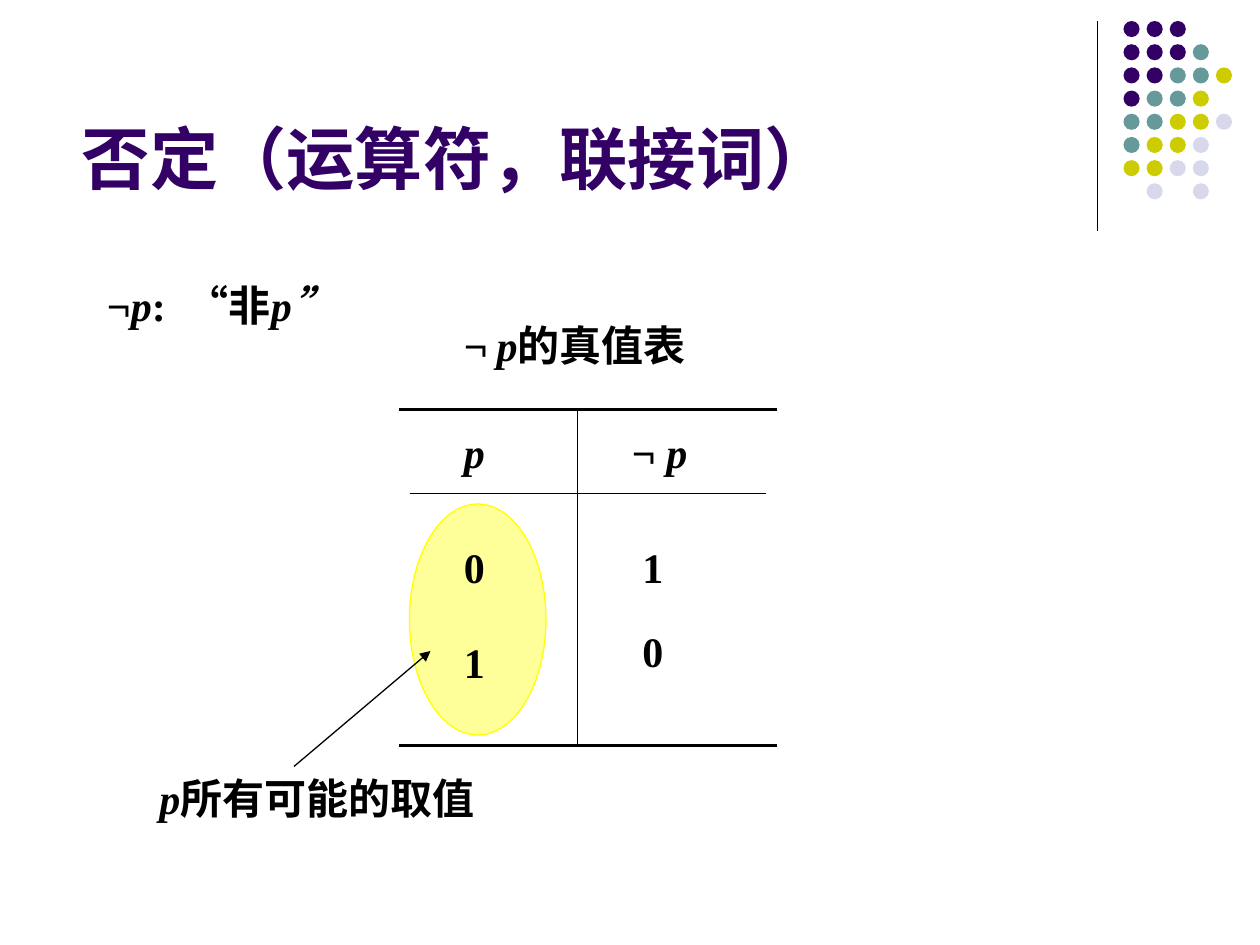
from pptx import Presentation
from pptx.dml.color import RGBColor
from pptx.enum.shapes import MSO_CONNECTOR, MSO_SHAPE
from pptx.enum.text import MSO_ANCHOR, MSO_AUTO_SIZE, PP_ALIGN
from pptx.oxml.ns import qn
from pptx.util import Pt
from lxml import etree

STRAIGHT = MSO_CONNECTOR.STRAIGHT
OVAL = MSO_SHAPE.OVAL
FIT_SHAPE = MSO_AUTO_SIZE.SHAPE_TO_FIT_TEXT
BOTTOM = MSO_ANCHOR.BOTTOM
JUSTIFY = PP_ALIGN.JUSTIFY

COLORS = {
    "ink": "000000", "purple": "330066", "teal": "669999", "olive": "CCCC00",
    "mist": "D8D8EC", "highlight": "FFFF99", "outline": "FFFF00",
}
LATIN, CJK = "Times New Roman", "Noto Sans CJK SC"

# Content
TITLE = "否定（运算符，联接词）"
DOT_ROWS = ["PPP", "PPPT", "PPTTO", "PTTO", "TTOOM", "TOOM", "OOMM", " M M"]
DOT_COLORS = {"P": "purple", "T": "teal", "O": "olive", "M": "mist"}

# (left, top, width), then runs of (text, italic[, size])
LABELS = [
    ((54, 156, 372), [("¬", False), ("p", True), (":  “非", False), ("p”", True)]),
    ((252, 179, 233), [(" ", True), ("¬", False), (" ", True, 20), ("p", True),
                       ("的真值表", False)]),
    ((78, 438, 252), [(" ", False), ("p", True), ("所有可能的取值", False)]),
]
TRUTH_TABLE = [
    ((258, 240, 54), [("p", True)]),
    ((354, 240, 90), [("¬ ", False), ("p", True)]),
    ((258, 306, 54), [("0", False)]),
    ((258, 360, 72), [("1", False)]),
    ((360, 306, 72), [("1", False)]),
    ((360, 354, 54), [("0", False)]),
]
# (x1, y1, x2, y2, weight)
CORNER_RULE = (627, 12, 627, 132, 0.75)
TABLE_RULES = [
    (228, 234, 444, 234, 2.25),
    (228, 426, 444, 426, 2.25),
    (330, 234, 330, 426, 0.75),
    (234, 282, 438, 282, 0.75),
]
POINTER = (168, 438, 246, 372, 0.75)


def rgb(name):
    return RGBColor.from_string(COLORS[name])


def set_font(r, size, font, color, italic=False):
    r.font.size = Pt(size)
    r.font.name = font
    r.font.bold = True
    r.font.italic = italic
    r.font.color.rgb = rgb(color)
    ea = etree.Element(qn("a:ea"), typeface=CJK)
    r.font._element.find(qn("a:latin")).addnext(ea)


def add_line(s, x1, y1, x2, y2, weight, arrow=False):
    line = s.shapes.add_connector(STRAIGHT, Pt(x1), Pt(y1), Pt(x2), Pt(y2))
    line.line.color.rgb = rgb("ink")
    line.line.width = Pt(weight)
    if arrow:
        etree.SubElement(line.line._get_or_add_ln(), qn("a:tailEnd"), type="triangle")
    etree.SubElement(line._element.spPr, qn("a:effectLst"))


def add_oval(s, left, top, width, height, fill, outline=None):
    sp = s.shapes.add_shape(OVAL, Pt(left), Pt(top), Pt(width), Pt(height))
    sp.shadow.inherit = False
    sp.fill.solid()
    sp.fill.fore_color.rgb = rgb(fill)
    if outline:
        sp.line.color.rgb = rgb(outline)
        sp.line.width = Pt(0.75)
    else:
        sp.line.fill.background()


def add_label(s, place, runs):
    left, top, width = place
    sp = s.shapes.add_textbox(Pt(left), Pt(top), Pt(width), Pt(36))
    tf = sp.text_frame
    tf.word_wrap = True
    tf.auto_size = FIT_SHAPE
    for text, italic, *size in runs:
        r = tf.paragraphs[0].add_run()
        r.text = text
        set_font(r, size[0] if size else 24, LATIN, "ink", italic)


def main():
    prs = Presentation()
    prs.slide_width, prs.slide_height = Pt(720), Pt(540)
    s = prs.slides.add_slide(prs.slide_layouts[5])

    # Corner decoration
    add_line(s, *CORNER_RULE)
    for row, codes in enumerate(DOT_ROWS):
        for col, code in enumerate(codes):
            if code in DOT_COLORS:
                add_oval(s, 642 + 13.2 * col, 12 + 13.25 * row, 9.2, 9.2,
                         DOT_COLORS[code])

    # Title
    title = s.shapes.title
    title.left, title.top, title.width, title.height = Pt(39.6), Pt(57), Pt(680.4), Pt(60)
    tf = title.text_frame
    tf.text = TITLE
    tf.vertical_anchor = BOTTOM
    tf.auto_size = MSO_AUTO_SIZE.NONE
    p = tf.paragraphs[0]
    p.alignment = JUSTIFY
    set_font(p.runs[0], 39, "Arial", "purple")

    # Truth table with its highlighted column, and the labels
    add_oval(s, 234, 288, 78, 132, "highlight", "outline")
    for rule in TABLE_RULES:
        add_line(s, *rule)
    for place, runs in TRUTH_TABLE + LABELS:
        add_label(s, place, runs)
    add_line(s, *POINTER, arrow=True)

    prs.save("out.pptx")


if __name__ == "__main__":
    main()
